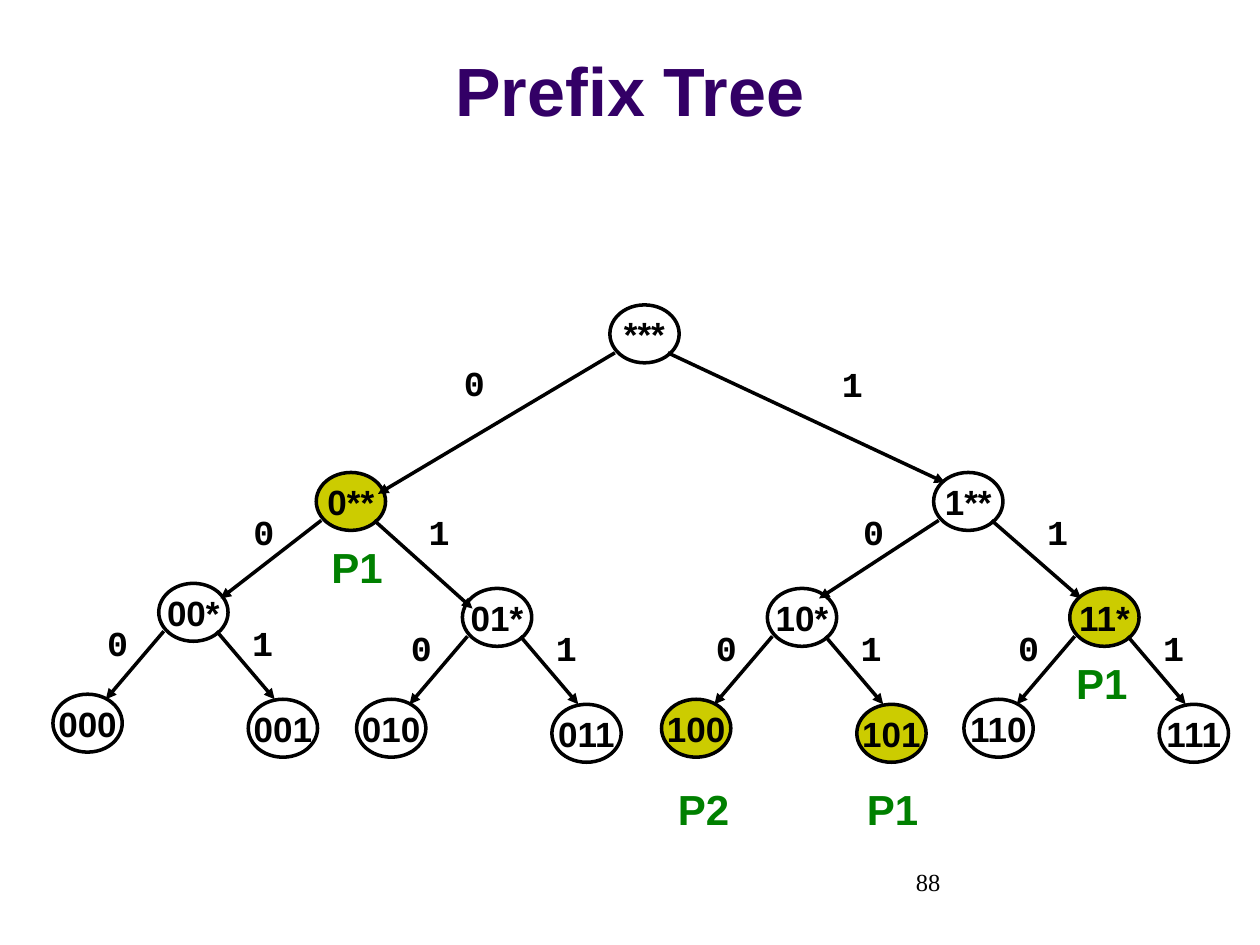
from dataclasses import dataclass

from lxml import etree
from pptx import Presentation
from pptx.dml.color import RGBColor
from pptx.enum import shapes, text
from pptx.oxml import ns
from pptx.util import Inches, Pt


@dataclass(frozen=True)
class Theme:
    ink: str = "000000"
    paper: str = "FFFFFF"
    match: str = "CCCC00"
    title: str = "330066"
    rule: str = "008000"
    sans: str = "Arial"
    mono: str = "Courier New"
    serif: str = "Times New Roman"
    title_size: int = 39
    rule_size: int = 24
    node_size: int = 20
    number_size: int = 14
    line_width: int = 2


THEME = Theme()
NODE_SIZE = (0.55, 0.46)
BIT_SIZE = (0.53, 0.43)
RULE_SIZE = (0.83, 0.5)
# Offsets from a node's top left corner, for bit 0 and bit 1
EDGE_STARTS = ((0.04, 0.38), (0.46, 0.38))
LEAF_TIPS = ((-0.42, 0.92), (0.92, 0.92))
LEAF_OFFSETS = ((-0.84, 0.88), (0.71, 0.92))
LEAF_BITS = ((-0.59, 0.25), (0.56, 0.25))

MATCHES = {"0**", "11*", "100", "101"}
# Prefix and top left corner of each node with two leaves
SUBTREES = [("00", (1.26, 4.63)), ("01", (3.67, 4.67)),
            ("11", (8.49, 4.67)), ("10", (6.09, 4.67))]
# Prefix, corner, arrow tips and bit label corners for bits 0 and 1
BRANCHES = [
    ("0", (2.51, 3.75), ((1.75, 4.75), (3.75, 4.83)), ((1.83, 4), (3.22, 4))),
    ("1", (7.41, 3.75), ((6.5, 4.75), (8.58, 4.75)), ((6.67, 4), (8.13, 4))),
    ("", (4.84, 2.42), ((3, 3.92), (7.5, 3.83)), ((3.5, 2.82), (6.5, 2.83))),
]
RULES = [("P1", (2.42, 4.25)), ("P2", (5.17, 6.17)),
         ("P1", (6.67, 6.17)), ("P1", (8.33, 5.17))]


def color(value):
    return RGBColor.from_string(value)


def shift(corner, offset):
    return corner[0] + offset[0], corner[1] + offset[1]


def write(shape, words, font, size, ink, bold=True,
          align=text.PP_ALIGN.CENTER, anchor=text.MSO_ANCHOR.TOP, wrap=True):
    frame = shape.text_frame
    frame.word_wrap = wrap
    frame.vertical_anchor = anchor
    paragraph = frame.paragraphs[0]
    paragraph.alignment = align
    run = paragraph.add_run()
    run.text = words
    run.font.name = font
    run.font.size = Pt(size)
    run.font.bold = bold
    run.font.color.rgb = color(ink)


def add_label(slide, corner, size, words, *style, **layout):
    box = slide.shapes.add_textbox(*map(Inches, (*corner, *size)))
    write(box, words, *style, **layout)


def add_node(slide, corner, prefix):
    name = prefix.ljust(3, "*")
    node = slide.shapes.add_shape(shapes.MSO_SHAPE.OVAL,
                                  *map(Inches, (*corner, *NODE_SIZE)))
    node.shadow.inherit = False
    node.fill.solid()
    node.fill.fore_color.rgb = color(THEME.match if name in MATCHES else THEME.paper)
    node.line.color.rgb = color(THEME.ink)
    node.line.width = Pt(THEME.line_width)
    write(node, name, THEME.sans, THEME.node_size, THEME.ink,
          anchor=text.MSO_ANCHOR.MIDDLE, wrap=False)


def add_arrow(slide, start, end):
    arrow = slide.shapes.add_connector(shapes.MSO_CONNECTOR.STRAIGHT,
                                       *map(Inches, (*start, *end)))
    arrow.line.color.rgb = color(THEME.ink)
    arrow.line.width = Pt(THEME.line_width)
    etree.SubElement(arrow.line._get_or_add_ln(), ns.qn("a:tailEnd"), type="triangle")
    etree.SubElement(arrow._element.spPr, ns.qn("a:effectLst"))


def add_branch(slide, corner, prefix, tips, bit_corners):
    """Place a node with its two arrows and their bit labels."""
    add_node(slide, corner, prefix)
    for bit, (start, tip, bit_corner) in enumerate(zip(EDGE_STARTS, tips, bit_corners)):
        add_arrow(slide, shift(corner, start), tip)
        add_label(slide, bit_corner, BIT_SIZE, str(bit),
                  THEME.mono, THEME.node_size, THEME.ink)


def add_subtree(slide, corner, prefix):
    """Place a branch whose two children are leaves."""
    for bit, offset in enumerate(LEAF_OFFSETS):
        add_node(slide, shift(corner, offset), f"{prefix}{bit}")
    add_branch(slide, corner, prefix,
               [shift(corner, tip) for tip in LEAF_TIPS],
               [shift(corner, offset) for offset in LEAF_BITS])


def add_tree(slide):
    for prefix, corner in SUBTREES:
        add_subtree(slide, corner, prefix)
    for prefix, corner, tips, bit_corners in BRANCHES:
        add_branch(slide, corner, prefix, tips, bit_corners)
    for rule, corner in RULES:
        add_label(slide, corner, RULE_SIZE, rule,
                  THEME.sans, THEME.rule_size, THEME.rule)


def main():
    presentation = Presentation()
    presentation.slide_width = Inches(10)
    presentation.slide_height = Inches(7.5)
    slide = presentation.slides.add_slide(presentation.slide_layouts[6])

    # Page number and title
    add_label(slide, (7.17, 6.83), (2.33, 0.5), "88", THEME.serif,
              THEME.number_size, THEME.ink, bold=False, align=text.PP_ALIGN.LEFT)
    add_label(slide, (0, 0.13), (10, 0.95), "Prefix Tree", THEME.sans,
              THEME.title_size, THEME.title, anchor=text.MSO_ANCHOR.BOTTOM)

    # Tree with the matching rules
    add_tree(slide)
    presentation.save("out.pptx")


if __name__ == "__main__":
    main()
